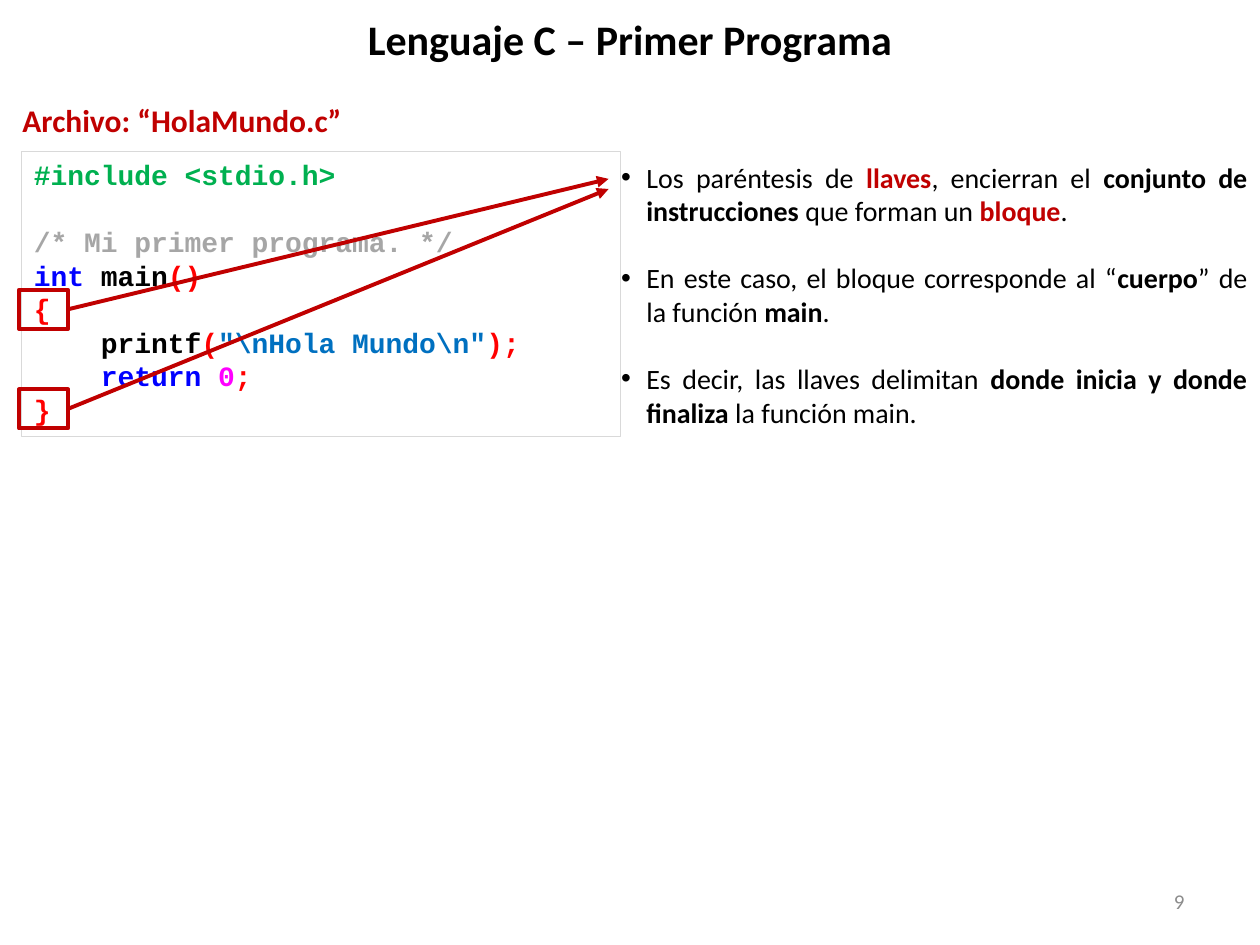
from pptx import Presentation
from pptx.dml.color import RGBColor
from pptx.enum.shapes import MSO_CONNECTOR as Link, MSO_SHAPE as Shape
from pptx.enum.text import MSO_ANCHOR as Anchor, MSO_AUTO_SIZE as Fit, PP_ALIGN as Align
from pptx.oxml.ns import qn
from pptx.util import Inches, Pt
from lxml.etree import SubElement

HUES = {
    "black": "000000", "crimson": "C00000", "red": "FF0000", "green": "00B050",
    "gray": "A6A6A6", "blue": "0000FF", "text": "0070C0", "pink": "FF00FF",
    "edge": "D9D9D9", "number": "8C8C8C",
}

# Each line is a list of (text, hue); a blank code line is the gap after its line.
CODE = [
    [("#include <stdio.h>", "green")],
    [("/* Mi primer programa. */", "gray")],
    [("int ", "blue"), ("main", "black"), ("()", "red")],
    [("{", "red")],
    [("    printf", "black"), ("(", "red"), (r'"\nHola Mundo\n"', "text"), (");", "red")],
    [("    ", "black"), ("return ", "blue"), ("0", "pink"), (";", "red")],
    [("}", "red")],
]

# Each point is a list of (text, hue, bold).
POINTS = [
    [("Los paréntesis de ", "black", False), ("llaves", "crimson", True),
     (", encierran el ", "black", False), ("conjunto de instrucciones ", "black", True),
     ("que forman un ", "black", False), ("bloque", "crimson", True), (".", "black", False)],
    [("En este caso, el bloque corresponde al “", "black", False), ("cuerpo", "black", True),
     ("” de la función ", "black", False), ("main", "black", True), (".", "black", False)],
    [("Es decir, las llaves delimitan ", "black", False),
     ("donde inicia y donde finaliza ", "black", True), ("la función main.", "black", False)],
]


def tint(name):
    return RGBColor.from_string(HUES[name])


class Deck:
    font = "Calibri"
    mono = "Courier New"
    size = 16
    row = Pt(19.2)

    def __init__(self):
        self.prs = Presentation()
        self.prs.slide_width, self.prs.slide_height = Inches(10), Inches(7.5)
        self.slide = self.prs.slides.add_slide(self.prs.slide_layouts[1])

    def place(self, shape, box):
        shape.left, shape.top, shape.width, shape.height = map(Inches, box)

    def style(self, run, hue, size, bold, font=None):
        run.font.name = font or self.font
        run.font.size = Pt(size)
        run.font.bold = bold
        run.font.color.rgb = tint(hue)

    def fill(self, frame, lines, font=None):
        """Write lines of (text, hue, bold) runs, one paragraph each, and yield the paragraphs."""
        for i, line in enumerate(lines):
            par = frame.add_paragraph() if i else frame.paragraphs[0]
            for text, hue, bold in line:
                run = par.add_run()
                run.text = text
                self.style(run, hue, self.size, bold, font)
            yield par

    def title(self, text, box):
        shape = self.slide.shapes.title
        self.place(shape, box)
        frame = shape.text_frame
        frame.text = text
        frame.vertical_anchor = Anchor.MIDDLE
        frame.paragraphs[0].alignment = Align.CENTER
        self.style(frame.paragraphs[0].runs[0], "black", 24, True)

    def points(self, lines, box):
        shape = self.slide.placeholders[1]
        self.place(shape, box)
        frame = shape.text_frame
        frame.auto_size = Fit.NONE
        for par in self.fill(frame, lines):
            par.alignment = Align.JUSTIFY
            par.space_before = Pt(0)
            par.space_after = self.row
            props = par._p.get_or_add_pPr()
            props.set("marL", str(Inches(0.2)))
            props.set("indent", str(Inches(-0.2)))

    def label(self, text, box, hue, size, bold=False, align=Align.LEFT, wrap=True):
        frame = self.slide.shapes.add_textbox(*map(Inches, box)).text_frame
        frame.word_wrap = wrap
        frame.vertical_anchor = Anchor.MIDDLE
        frame.text = text
        frame.paragraphs[0].alignment = align
        self.style(frame.paragraphs[0].runs[0], hue, size, bold)

    def frame(self, box, hue, width):
        shape = self.slide.shapes.add_shape(Shape.RECTANGLE, *map(Inches, box))
        shape.shadow.inherit = False
        shape.fill.background()
        shape.line.color.rgb = tint(hue)
        shape.line.width = Pt(width)
        return shape

    def code(self, lines, box):
        frame = self.frame(box, "edge", 0.25).text_frame
        frame.word_wrap = True
        frame.vertical_anchor = Anchor.TOP
        bold = [[(text, hue, True) for text, hue in line] for line in lines]
        for par in self.fill(frame, bold, self.mono):
            par.alignment = Align.LEFT
            par.line_spacing = self.row
        frame.paragraphs[0].space_after = self.row

    def arrow(self, start, end):
        link = self.slide.shapes.add_connector(Link.STRAIGHT, *map(Inches, start + end))
        link.line.color.rgb = tint("crimson")
        link.line.width = Pt(2.25)
        SubElement(link.line._get_or_add_ln(), qn("a:tailEnd"), type="triangle")
        SubElement(link._element.spPr, qn("a:effectLst"))


def main():
    deck = Deck()
    deck.title("Lenguaje C – Primer Programa", (0.5, 0, 9, 0.62))
    deck.points(POINTS, (4.83, 1.22, 5.17, 2.26))
    deck.label("Archivo: “HolaMundo.c”", (0.08, 0.75, 2.76, 0.4), "crimson", 18, True, wrap=False)
    deck.code(CODE, (0.17, 1.2, 4.75, 2.26))
    for top, tip in ((2.3, 1.42), (3.09, 1.5)):
        deck.frame((0.15, top, 0.39, 0.31), "crimson", 2.25)
        deck.arrow((0.54, top + 0.155), (4.83, tip))
    deck.label("9", (7.17, 6.95, 2.33, 0.4), "number", 12, align=Align.RIGHT)
    deck.prs.save("out.pptx")


if __name__ == "__main__":
    main()
